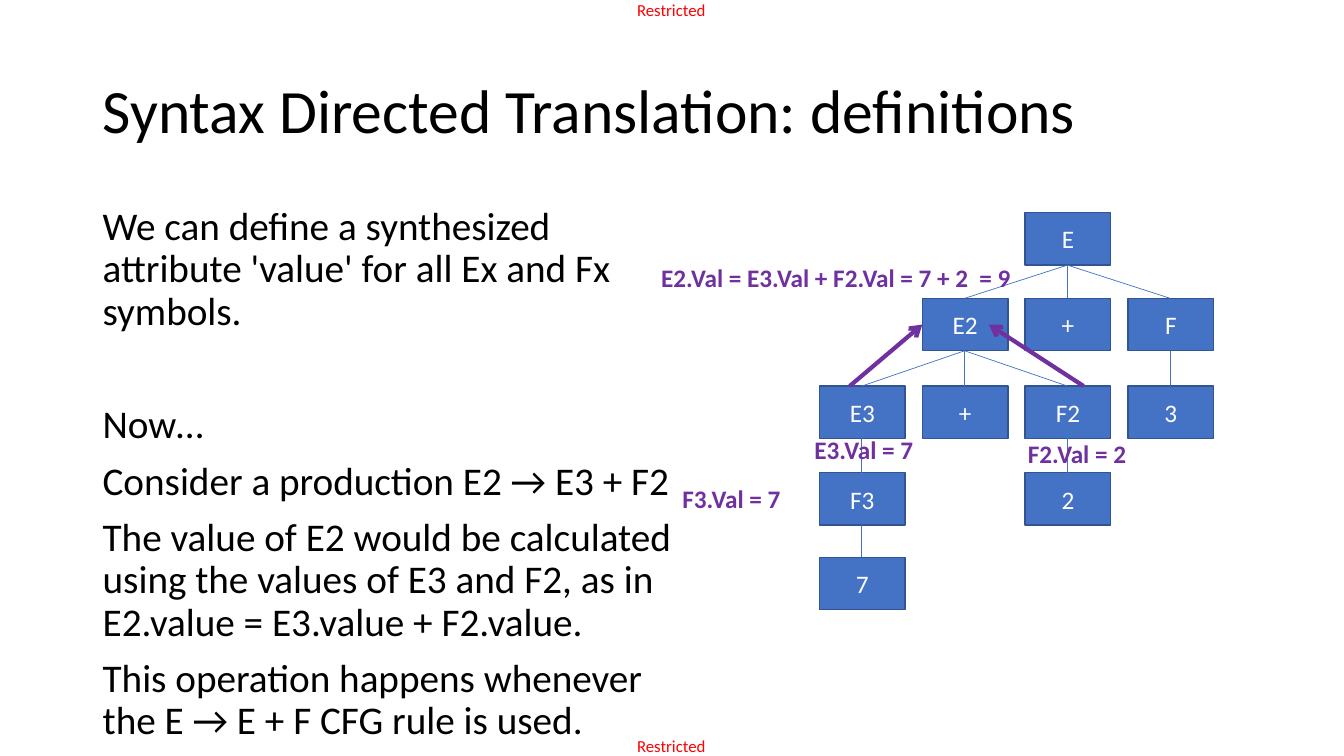
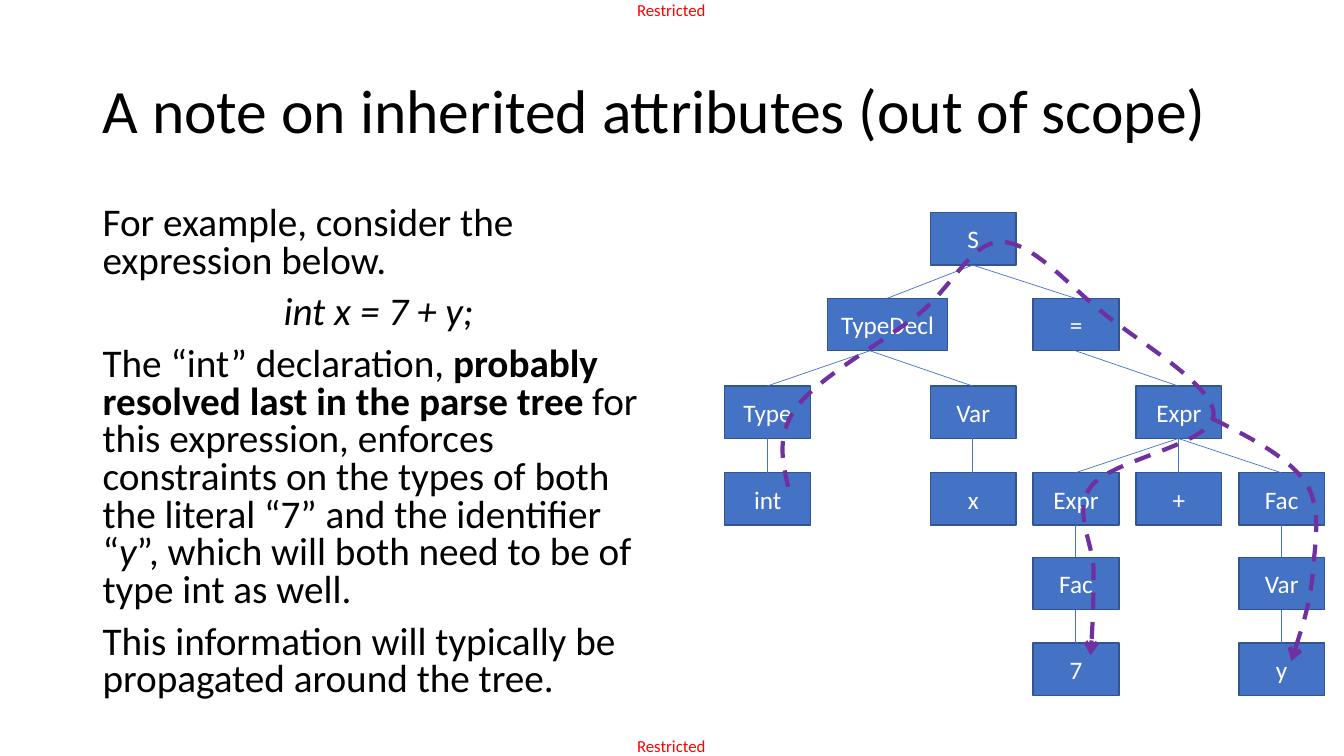
from lxml import etree
from pptx import Presentation
from pptx.dml.color import RGBColor
from pptx.enum.dml import MSO_LINE
from pptx.enum.shapes import MSO_CONNECTOR, MSO_SHAPE
from pptx.enum.text import MSO_ANCHOR, PP_ALIGN
from pptx.oxml.ns import qn
from pptx.util import Pt

PX = 9144
FONT = "Calibri"
BLACK, WHITE, RED = "000000", "FFFFFF", "FF0000"
BLUE, NAVY, PURPLE = "4472C4", "325491", "7030A0"
LEFT, CENTER = PP_ALIGN.LEFT, PP_ALIGN.CENTER
TOP, MIDDLE = MSO_ANCHOR.TOP, MSO_ANCHOR.MIDDLE
STRAIGHT, RECTANGLE, DASH = MSO_CONNECTOR.STRAIGHT, MSO_SHAPE.RECTANGLE, MSO_LINE.DASH

NODE_W, NODE_H, COLUMN_STEP = 85, 52, 102
ROW_TOPS = [211, 296, 383, 469, 553, 638]

SLIDES = [
    {
        "title": "Syntax Directed Translation: definitions",
        "body_width": 588,
        "line_spacing": 0.9,
        "body": [
            (LEFT, 10, [("We can define a synthesized attribute 'value' for all Ex and Fx symbols.", "")]),
            (LEFT, 51, [("Now…", "")]),
            (LEFT, 10, [("Consider a production E2 → E3 + F2", "")]),
            (LEFT, 10, [("The value of E2 would be calculated using the values of E3 and F2, "
                         "as in E2.value = E3.value + F2.value.", "")]),
            (LEFT, 10, [("This operation happens whenever the E → E + F CFG rule is used.", "")]),
        ],
        "tree_left": 813,
        "tree": [
            ("E", 2, 0, NODE_W, None),
            ("E2", 1, 1, NODE_W, 0),
            ("+", 2, 1, NODE_W, 0),
            ("F", 3, 1, NODE_W, 0),
            ("E3", 0, 2, NODE_W, 1),
            ("+", 1, 2, NODE_W, 1),
            ("F2", 2, 2, NODE_W, 1),
            ("3", 3, 2, NODE_W, 3),
            ("F3", 0, 3, NODE_W, 4),
            ("2", 2, 3, NODE_W, 6),
            ("7", 0, 4, NODE_W, 8),
        ],
        "value_arrows": [(1075, 383, 981, 322), (843, 383, 915, 322)],
        "value_labels": [
            ("E3.Val = 7", 798, 426, 140),
            ("E2.Val = E3.Val + F2.Val = 7 + 2  = 9", 646, 255, 377),
            ("F2.Val = 2", 1010, 430, 123),
            ("F3.Val = 7", 667, 475, 131),
        ],
        "type_flows": [],
    },
    {
        "title": "A note on inherited attributes (out of scope)",
        "body_width": 567,
        "line_spacing": 0.8,
        "body": [
            (LEFT, 10, [("For example, consider the expression below.", "")]),
            (CENTER, 10, [("int x = 7 + y;", "i")]),
            (LEFT, 10, [
                ("The “int” declaration, ", ""),
                ("probably resolved last in the parse tree ", "b"),
                ("for this expression, enforces constraints on the types of both "
                 "the literal “7” and the identifier “", ""),
                ("y", "i"),
                ("”, which will both need to be of type int as well.", ""),
            ]),
            (LEFT, 10, [("This information will typically be propagated around the tree.", "")]),
        ],
        "tree_left": 719,
        "tree": [
            ("S", 2, 0, NODE_W, None),
            ("TypeDecl", 1, 1, 119, 0),
            ("=", 3, 1, NODE_W, 0),
            ("Type", 0, 2, NODE_W, 1),
            ("Var", 2, 2, NODE_W, 1),
            ("Expr", 4, 2, NODE_W, 2),
            ("int", 0, 3, NODE_W, 3),
            ("x", 2, 3, NODE_W, 4),
            ("Expr", 3, 3, NODE_W, 5),
            ("+", 4, 3, NODE_W, 5),
            ("Fac", 5, 3, NODE_W, 5),
            ("Fac", 3, 4, NODE_W, 8),
            ("Var", 5, 4, NODE_W, 10),
            ("7", 3, 5, NODE_W, 11),
            ("y", 5, 5, NODE_W, 12),
        ],
        "value_arrows": [],
        "value_labels": [],
        "type_flows": [
            [(782, 483),
             (776, 457), (770, 431), (791, 403),
             (813, 374), (877, 339), (911, 312),
             (945, 285), (963, 240), (993, 240),
             (1024, 240), (1059, 282), (1094, 310),
             (1129, 339), (1206, 383), (1204, 412),
             (1202, 441), (1103, 456), (1083, 482),
             (1063, 508), (1086, 540), (1085, 568),
             (1085, 596), (1084, 623), (1082, 650)],
            [(1204, 416),
             (1242, 435), (1279, 454), (1296, 480),
             (1312, 506), (1304, 543), (1302, 572),
             (1299, 601), (1290, 628), (1281, 656)],
        ],
    },
]


def rgb(hex_code):
    return RGBColor.from_string(hex_code)


def write(shape, paragraphs, size, color, anchor=TOP, spacing=None, inset=None):
    frame = shape.text_frame
    frame.word_wrap = True
    frame.vertical_anchor = anchor
    if inset is not None:
        frame.margin_left = frame.margin_right = inset
        frame.margin_top = frame.margin_bottom = inset
    for index, (align, before, pieces) in enumerate(paragraphs):
        paragraph = frame.add_paragraph() if index else frame.paragraphs[0]
        paragraph.alignment = align
        paragraph.space_before = Pt(before)
        paragraph.line_spacing = spacing
        for text, style in pieces:
            run = paragraph.add_run()
            run.text = text
            run.font.name = FONT
            run.font.size = Pt(size)
            run.font.color.rgb = rgb(color)
            run.font.bold = "b" in style
            run.font.italic = "i" in style


prs = Presentation()
prs.slide_width, prs.slide_height = 12192000, 750 * PX
blank = prs.slide_layouts[6]

for content in SLIDES:
    slide = prs.slides.add_slide(blank)
    shapes = slide.shapes
    strokes = []

    for top in (0, 730):
        marking = shapes.add_textbox(632 * PX, top * PX, 73 * PX, 20 * PX)
        write(marking, [(LEFT, 0, [("Restricted", "")])], 12, RED, inset=0)

    title = shapes.add_textbox(92 * PX, 40 * PX, 1150 * PX, 145 * PX)
    write(title, [(LEFT, 0, [(content["title"], "")])], 44, BLACK, MIDDLE, 0.9)

    body = shapes.add_textbox(92 * PX, 200 * PX, content["body_width"] * PX, 550 * PX)
    write(body, content["body"], 28, BLACK, spacing=content["line_spacing"])

    tree = content["tree"]
    for symbol, column, row, width, parent in tree:
        left = content["tree_left"] + column * COLUMN_STEP
        top = ROW_TOPS[row]
        node = shapes.add_shape(RECTANGLE, left * PX, top * PX, width * PX, NODE_H * PX)
        node.shadow.inherit = False
        node.fill.solid()
        node.fill.fore_color.rgb = rgb(BLUE)
        node.line.color.rgb = rgb(NAVY)
        node.line.width = Pt(1)
        write(node, [(CENTER, 0, [(symbol, "")])], 18, WHITE, MIDDLE)
        if parent is not None:
            parent_column, parent_row = tree[parent][1:3]
            start_x = content["tree_left"] + parent_column * COLUMN_STEP + NODE_W // 2
            start_y = ROW_TOPS[parent_row] + NODE_H
            branch = shapes.add_connector(
                STRAIGHT, start_x * PX, start_y * PX, (left + width // 2) * PX, top * PX)
            strokes.append((branch, BLUE, 0.5, None, False))

    for ends in content["value_arrows"]:
        value_arrow = shapes.add_connector(STRAIGHT, *(end * PX for end in ends))
        strokes.append((value_arrow, PURPLE, 3, None, True))

    for text, left, top, width in content["value_labels"]:
        value_label = shapes.add_textbox(left * PX, top * PX, width * PX, 40 * PX)
        write(value_label, [(LEFT, 0, [(text, "b")])], 18, PURPLE)

    for points in content["type_flows"]:
        builder = shapes.build_freeform(*points[0], scale=PX)
        builder.add_line_segments(points[1:], close=False)
        type_flow = builder.convert_to_shape()
        type_flow.fill.background()
        outline = type_flow.element.find(".//" + qn("a:path"))
        segments = outline.findall(qn("a:lnTo"))
        for first in range(0, len(segments), 3):
            curve = etree.SubElement(outline, qn("a:cubicBezTo"))
            for segment in segments[first:first + 3]:
                curve.append(segment[0])
                outline.remove(segment)
        strokes.append((type_flow, PURPLE, 3, DASH, True))

    for stroke, color, width, dash, has_arrow in strokes:
        stroke.line.color.rgb = rgb(color)
        stroke.line.width = Pt(width)
        if dash is not None:
            stroke.line.dash_style = dash
        properties = stroke.element.spPr
        if has_arrow:
            etree.SubElement(properties.find(qn("a:ln")), qn("a:tailEnd"), type="arrow")
        etree.SubElement(properties, qn("a:effectLst"))

prs.save("out.pptx")
